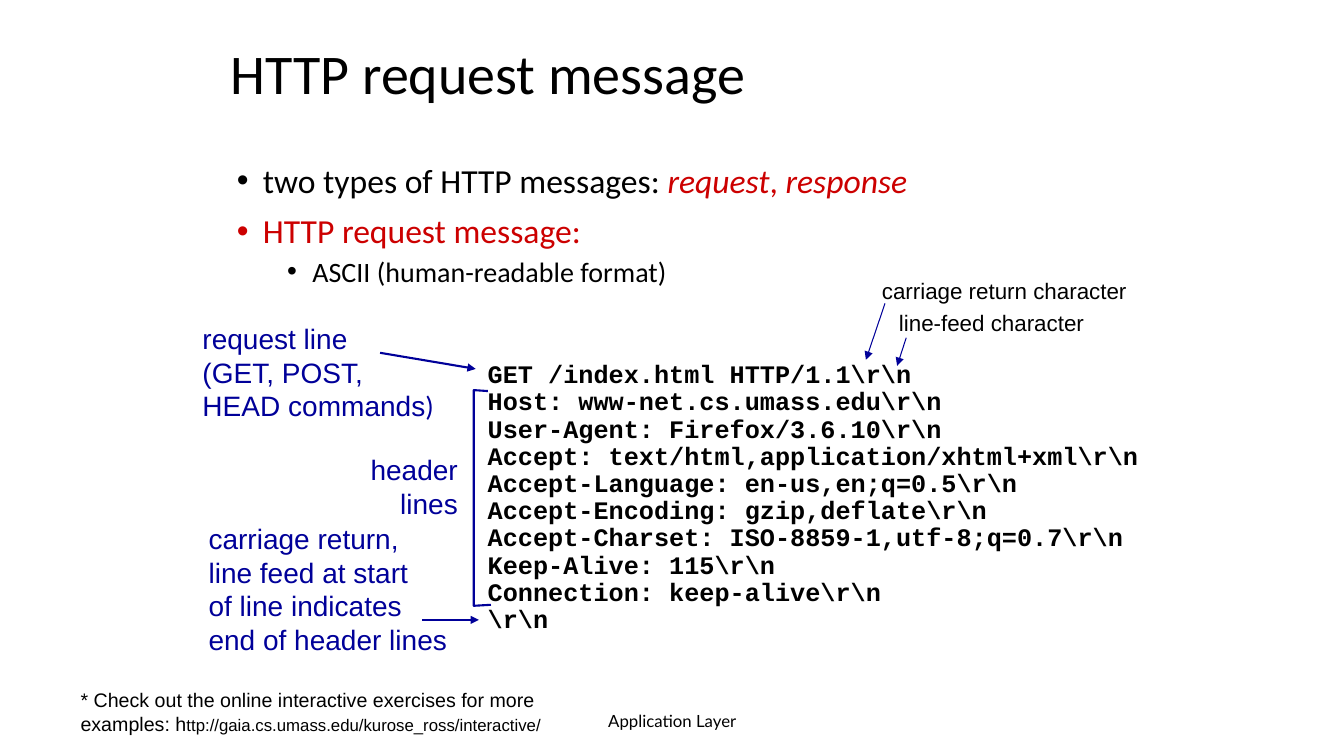
from pptx import Presentation
from pptx.dml.color import RGBColor
from pptx.enum.shapes import MSO_CONNECTOR
from pptx.enum.text import MSO_ANCHOR, PP_ALIGN
from pptx.oxml.ns import qn
from pptx.util import Inches, Pt
from lxml.etree import SubElement

BLACK, NAVY, RED = "000000", "000099", "CC0000"

deck = Presentation()
deck.slide_width, deck.slide_height = Inches(13.33), Inches(7.5)
slide = deck.slides.add_slide(deck.slide_layouts[6])
across, down = deck.slide_width / 100, deck.slide_height / 100


def paint(colour_format, colour):
    colour_format.rgb = RGBColor.from_string(colour)


def write(box, lines, face, wrap=False, anchor=MSO_ANCHOR.TOP, hang=0, **layout):
    left, top, width, height = box
    frame = slide.shapes.add_textbox(
        int(left * across), int(top * down), int(width * across), int(height * down)
    ).text_frame
    frame.word_wrap, frame.vertical_anchor = wrap, anchor
    for index, runs in enumerate(lines):
        paragraph = frame.paragraphs[0] if index == 0 else frame.add_paragraph()
        if hang:
            properties = paragraph._p.get_or_add_pPr()
            properties.set("marL", str(Inches(hang)))
            properties.set("indent", str(-Inches(hang)))
        for key, value in layout.items():
            setattr(paragraph, key, value)
        for words, changes in [(runs, {})] if isinstance(runs, str) else runs:
            run = paragraph.add_run()
            run.text = words
            look = {**face, **changes}
            paint(run.font.color, look.pop("colour"))
            for key, value in look.items():
                setattr(run.font, key, value)
    return frame.paragraphs


heading = {"name": "Calibri", "size": Pt(40), "colour": BLACK}
point = {**heading, "size": Pt(24)}
label = {"name": "Arial", "size": Pt(20), "colour": NAVY}
remark = {"name": "Arial", "size": Pt(16), "colour": BLACK}
code = {"name": "Courier New", "size": Pt(18), "bold": True, "colour": BLACK}

write((33.15, 92.67, 33.75, 5.33), ["Application Layer"],
      {"name": "Lato", "size": Pt(12), "colour": BLACK},
      wrap=True, anchor=MSO_ANCHOR.MIDDLE, alignment=PP_ALIGN.CENTER)
write((16.43, 3.47, 63.75, 13.33), ["HTTP request message"], heading,
      wrap=True, anchor=MSO_ANCHOR.MIDDLE, line_spacing=0.9)

red_italic = {"colour": RED, "italic": True}
points = write((16.88, 21.07, 63.75, 67.73), [
    [("two types of HTTP messages: ", {}), ("request", red_italic),
     (", ", {"colour": RED}), ("response", red_italic)],
    [("HTTP request message:", {"colour": RED})],
    [("ASCII (human-readable format)", {"size": Pt(20)})],
], point, wrap=True, line_spacing=0.9)
for paragraph, level, margin, hang, before in zip(
        points, (0, 0, 1), (0.26, 0.26, 0.75), (0.26, 0.26, 0.25), (0, 10, 5)):
    paragraph.level, paragraph.space_before = level, Pt(before)
    properties = paragraph._p.get_or_add_pPr()
    properties.set("marL", str(Inches(margin)))
    properties.set("indent", str(-Inches(hang)))
    SubElement(properties, qn("a:buFont")).set("typeface", "Arial")
    SubElement(properties, qn("a:buChar")).set("char", "•")

write((14.33, 41.87, 18.75, 14.67), [
    "request line",
    "(GET, POST,",
    [("HEAD commands", {}), (")", {"name": "Calibri"})],
], label)
write((26.78, 59.2, 8.03, 10.27), ["header", "lines"], label, alignment=PP_ALIGN.RIGHT)
ending = write((14.78, 68.8, 19.43, 18.8), [
    "carriage return,",
    "line feed at start",
    "of line indicates",
    "end of header lines",
], label)
ending[0].line_spacing = 0.9

write((35.55, 47.2, 50.4, 37.73), [
    r"GET /index.html HTTP/1.1\r\n",
    r"Host: www-net.cs.umass.edu\r\n",
    r"User-Agent: Firefox/3.6.10\r\n",
    r"Accept: text/html,application/xhtml+xml\r\n",
    r"Accept-Language: en-us,en;q=0.5\r\n",
    r"Accept-Encoding: gzip,deflate\r\n",
    r"Accept-Charset: ISO-8859-1,utf-8;q=0.7\r\n",
    r"Keep-Alive: 115\r\n",
    r"Connection: keep-alive\r\n",
    r"\r\n",
], code, hang=0.38, line_spacing=0.9)

write((64.88, 36, 19.8, 4.93), ["carriage return character"], remark, hang=0.38)
write((66.15, 40.27, 15.3, 4.93), ["line-feed character"], remark, hang=0.38)
write((5.25, 90.4, 36.98, 7.6), [[
    ("* Check out the online interactive exercises for more examples: h", {}),
    ("ttp://gaia.cs.umass.edu/kurose_ross/interactive/", {"size": Pt(12)}),
]], {**remark, "size": Pt(14)}, wrap=True)

for x1, y1, x2, y2, weight in [
    (28.28, 46.67, 35.4, 48.8, 1.5),
    (31.43, 82, 35.63, 82, 1.5),
    (65.85, 40.13, 64.43, 47.6, 0.75),
    (67.43, 44.67, 66.75, 48.4, 0.75),
]:
    arrow = slide.shapes.add_connector(
        MSO_CONNECTOR.STRAIGHT,
        int(x1 * across), int(y1 * down), int(x2 * across), int(y2 * down))
    paint(arrow.line.color, NAVY)
    arrow.line.width = Pt(weight)
    SubElement(arrow.line._get_or_add_ln(), qn("a:tailEnd")).set("type", "triangle")
    SubElement(arrow._element.spPr, qn("a:effectLst"))

corners = [(int(x * across), int(y * down)) for x, y in
           [(36.3, 51.73), (35.25, 51.6), (35.25, 80.13), (36.53, 80)]]
outline = slide.shapes.build_freeform(*corners[0])
outline.add_line_segments(corners[1:], close=False)
bracket = outline.convert_to_shape()
bracket.shadow.inherit = False
bracket.fill.background()
paint(bracket.line.color, NAVY)
bracket.line.width = Pt(1.5)

deck.save("out.pptx")
